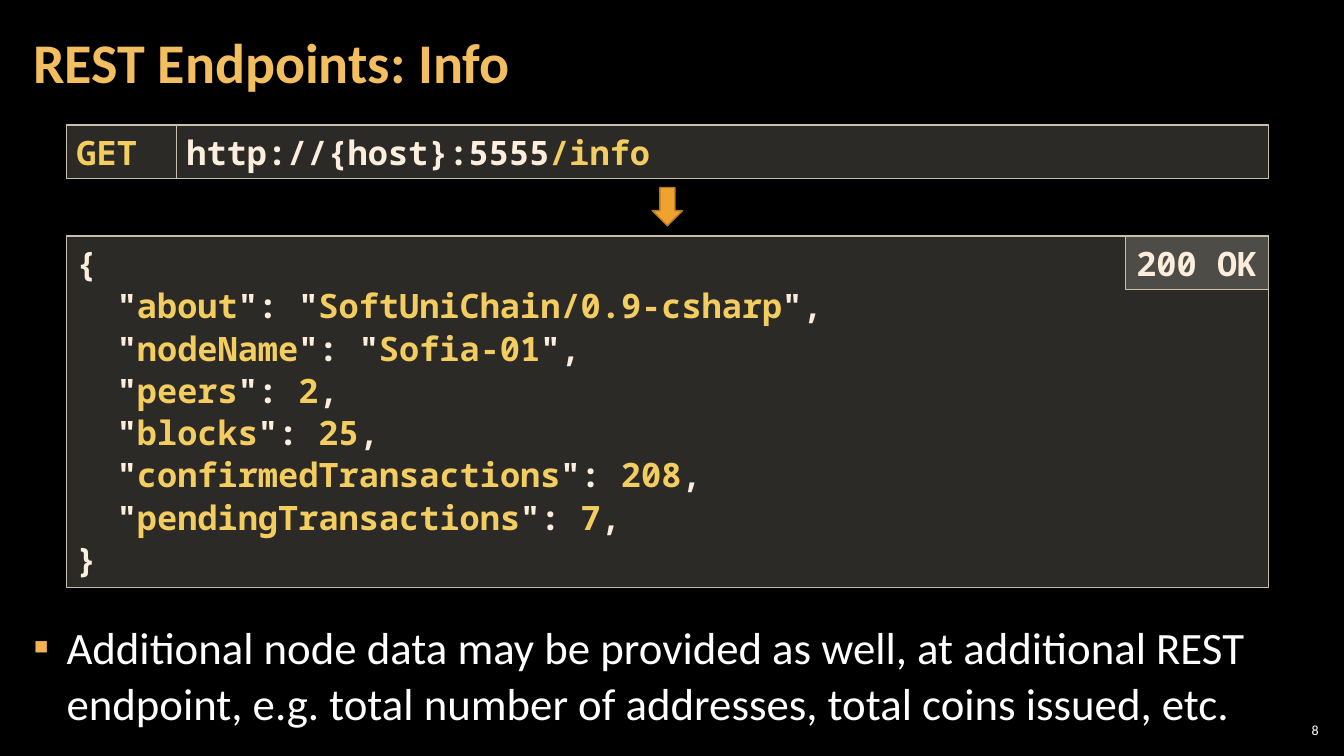
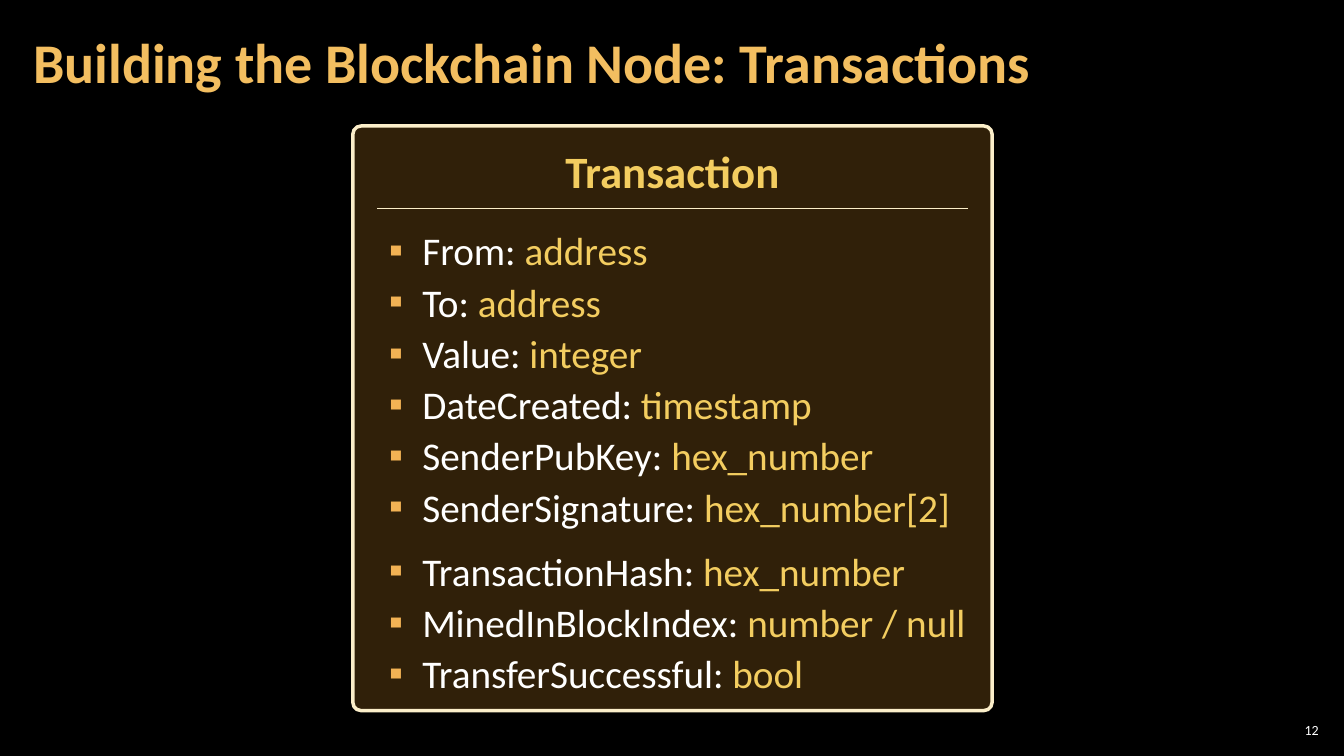
from dataclasses import dataclass

from lxml.etree import SubElement
from pptx import Presentation
from pptx.dml.color import RGBColor
from pptx.enum.shapes import MSO_CONNECTOR, MSO_SHAPE
from pptx.enum.text import MSO_ANCHOR, MSO_AUTO_SIZE, PP_ALIGN
from pptx.oxml.ns import qn
from pptx.util import Inches, Pt


@dataclass(frozen=True)
class Theme:
    background: str = "000000"
    text: str = "FFFFFF"
    title: str = "F3BE60"
    accent: str = "F3CD60"
    bullet: str = "F2B254"
    code: str = "FBEEDC"
    code_fill: str = "D9D5C7"
    code_line: str = "C7BFAC"
    arrow_line: str = "B27822"
    orange: str = "F0A22E"
    card_line: str = "FBEEC9"
    font: str = "Calibri"
    mono: str = "Noto Sans Mono"
    title_size: int = 40
    large_size: int = 32
    list_size: int = 28
    code_size: int = 24
    number_size: int = 10
    opacity: int = 20


THEME = Theme()


def rgb(color):
    return RGBColor.from_string(color)


def add_bullet(p):
    pPr = p._p.get_or_add_pPr()
    pPr.set("marL", str(Inches(0.33)))
    pPr.set("indent", str(-Inches(0.33)))
    SubElement(SubElement(pPr, qn("a:buClr")), qn("a:srgbClr"), val=THEME.bullet)
    SubElement(pPr, qn("a:buFont"), typeface=THEME.font)
    SubElement(pPr, qn("a:buChar"), char="▪")


def write(tf, lines, size, color=THEME.text, font=THEME.font, bold=False,
          align=PP_ALIGN.LEFT, spacing=1.0, before=0, after=0, bullet=False,
          anchor=MSO_ANCHOR.TOP, margins=(0.1, 0.05)):
    """Fill a text frame; words between asterisks take the accent colour."""
    tf.word_wrap = True
    tf.auto_size = MSO_AUTO_SIZE.NONE
    tf.vertical_anchor = anchor
    tf.margin_left = tf.margin_right = Inches(margins[0])
    tf.margin_top = tf.margin_bottom = Inches(margins[1])
    for i, line in enumerate(lines):
        p = tf.add_paragraph() if i else tf.paragraphs[0]
        if bullet:
            add_bullet(p)
        p.alignment = align
        p.line_spacing = spacing
        p.space_before = Pt(before if i else 0)
        p.space_after = Pt(after)
        for j, part in enumerate(line.split("*")):
            if part:
                r = p.add_run()
                r.text = part
                r.font.name = font
                r.font.size = Pt(size)
                r.font.bold = bold
                r.font.color.rgb = rgb(THEME.accent if j % 2 else color)


class Deck:
    def __init__(self):
        self.prs = Presentation()
        self.prs.slide_width = Inches(13.33)
        self.prs.slide_height = Inches(7.5)
        fill = self.prs.slide_master.background.fill
        fill.solid()
        fill.fore_color.rgb = rgb(THEME.background)
        self.s = None

    def slide(self, title, number, layout):
        self.s = self.prs.slides.add_slide(self.prs.slide_layouts.get_by_name(layout))
        self.placeholder(0, (0.21, 0.04, 10.47, 1.21), [title], size=THEME.title_size,
                         color=THEME.title, bold=True, spacing=0.9,
                         anchor=MSO_ANCHOR.MIDDLE)
        self.text((12.65, 7.14, 0.47, 0.21), [str(number)], size=THEME.number_size,
                  align=PP_ALIGN.RIGHT, anchor=MSO_ANCHOR.MIDDLE, margins=(0.04, 0.04))

    def placeholder(self, idx, box, lines, **fmt):
        sp = self.s.placeholders[idx]
        sp.left, sp.top, sp.width, sp.height = map(Inches, box)
        write(sp.text_frame, lines, margins=(0.12, 0.04), **fmt)

    def text(self, box, lines, **fmt):
        sp = self.s.shapes.add_textbox(*map(Inches, box))
        write(sp.text_frame, lines, **fmt)
        return sp.text_frame

    def shape(self, kind, box, fill, line, width=1, opacity=None):
        sp = self.s.shapes.add_shape(kind, *map(Inches, box))
        sp.shadow.inherit = False
        sp.fill.solid()
        sp.fill.fore_color.rgb = rgb(fill)
        if opacity:
            color = sp.fill._xPr.find(qn("a:solidFill"))[0]
            SubElement(color, qn("a:alpha"), val=str(opacity * 1000))
        sp.line.color.rgb = rgb(line)
        sp.line.width = Pt(width)
        return sp

    def code(self, box, lines, align=PP_ALIGN.LEFT):
        sp = self.shape(MSO_SHAPE.RECTANGLE, box, THEME.code_fill, THEME.code_line,
                        opacity=THEME.opacity)
        write(sp.text_frame, lines, size=THEME.code_size, color=THEME.code,
              font=THEME.mono, bold=True, align=align, spacing=1.05)

    def card(self, box, heading):
        sp = self.shape(MSO_SHAPE.ROUNDED_RECTANGLE, box, THEME.orange,
                        THEME.card_line, width=2.5, opacity=THEME.opacity)
        sp.adjustments[0] = 0.014
        write(sp.text_frame, [heading], size=THEME.large_size, color=THEME.accent,
              bold=True, align=PP_ALIGN.CENTER, spacing=1.2)
        left, top, width, _ = box
        self.rule(left + 0.24, left + width - 0.24, top + 0.82)

    def rule(self, x1, x2, y):
        line = self.s.shapes.add_connector(MSO_CONNECTOR.STRAIGHT, Inches(x1), Inches(y),
                                           Inches(x2), Inches(y))
        line.line.color.rgb = rgb(THEME.card_line)
        line.line.width = Pt(1)
        SubElement(line._element.spPr, qn("a:effectLst"))


def info_slide(deck):
    deck.slide("REST Endpoints: Info", 8, "Title and Content")
    deck.placeholder(1, (0.21, 6.08, 12.91, 1.27), [
        "Additional node data may be provided as well, at additional REST endpoint, "
        "e.g. total number of addresses, total coins issued, etc."],
        size=THEME.large_size, spacing=1.05, after=6, bullet=True)
    deck.code((0.66, 1.24, 1.09, 0.53), ["*GET*"])
    deck.code((1.75, 1.24, 10.83, 0.53), ["http://{host}:5555*/info*"])
    deck.code((0.66, 2.34, 11.92, 3.49), [
        '{',
        '  "*about*": "*SoftUniChain/0.9-csharp*",',
        '  "*nodeName*": "*Sofia-01*",',
        '  "*peers*": *2*,',
        '  "*blocks*": *25*,',
        '  "*confirmedTransactions*": *208*,',
        '  "*pendingTransactions*": *7*,',
        '}'])
    deck.shape(MSO_SHAPE.DOWN_ARROW, (6.47, 1.86, 0.3, 0.38), THEME.orange,
               THEME.arrow_line)
    deck.code((11.16, 2.34, 1.42, 0.53), ["200 OK"], align=PP_ALIGN.CENTER)


def transaction_slide(deck):
    deck.slide("Building the Blockchain Node: Transactions", 12, "Title Only")
    deck.card((3.5, 1.25, 6.34, 5.8), "Transaction")
    sent = [("From", "address"), ("To", "address"), ("Value", "integer"),
            ("DateCreated", "timestamp"), ("SenderPubKey", "hex_number"),
            ("SenderSignature", "hex_number[2]")]
    mined = [("TransactionHash", "hex_number"), ("MinedInBlockIndex", "number / null"),
             ("TransferSuccessful", "bool")]
    tf = deck.text((3.76, 2.2, 6.01, 4.8),
                   [f"{name}: *{kind}*" for name, kind in sent + mined],
                   size=THEME.list_size, before=3, bullet=True)
    tf.paragraphs[len(sent)].space_before = Pt(12)


def main():
    deck = Deck()
    info_slide(deck)
    transaction_slide(deck)
    deck.prs.save("out.pptx")


if __name__ == "__main__":
    main()
